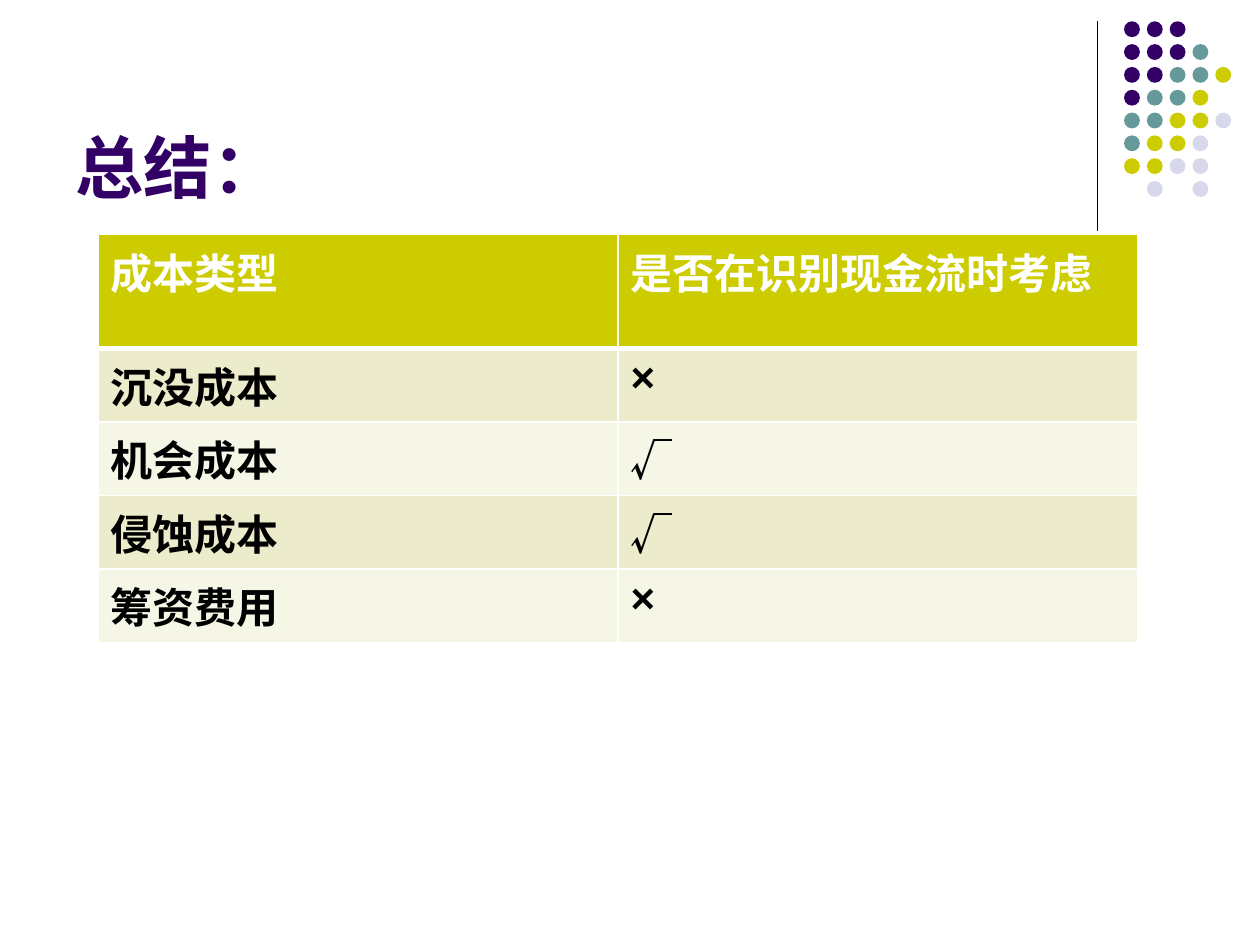
"""Build the summary slide: which cost types count when identifying cash flows."""
import pptx
import pptx.dml.color
import pptx.enum.shapes
import pptx.enum.text
import pptx.oxml
import pptx.oxml.ns
import pptx.util

Cm = pptx.util.Cm
Pt = pptx.util.Pt
RGBColor = pptx.dml.color.RGBColor

PURPLE = RGBColor(0x33, 0x00, 0x66)
TEAL = RGBColor(0x66, 0x99, 0x99)
OLIVE = RGBColor(0xCC, 0xCC, 0x00)
LILAC = RGBColor(0xD8, 0xD8, 0xEC)
BAND_DARK = RGBColor(0xEC, 0xEC, 0xCC)
BAND_LIGHT = RGBColor(0xF6, 0xF6, 0xE7)
WHITE = RGBColor(0xFF, 0xFF, 0xFF)
BLACK = RGBColor(0x00, 0x00, 0x00)

TITLE = "总结："
ROWS = [
    ("成本类型", "是否在识别现金流时考虑"),
    ("沉没成本", "×"),
    ("机会成本", "√"),
    ("侵蚀成本", "√"),
    ("筹资费用", "×"),
]
DOT_ROWS = ["PPP", "PPPT", "PPTTO", "PTTO", "TTOOL", "TOOL", "OOLL", " L L"]
DOT_COLORS = {"P": PURPLE, "T": TEAL, "O": OLIVE, "L": LILAC}
DOT_LEFT, DOT_TOP, DOT_SIZE, DOT_PITCH = 22.66, 0.43, 0.32, 0.46


def format_text(p, size, color, name="Arial"):
    p.font.name = name
    p.font.size = Pt(size)
    p.font.bold = True
    p.font.color.rgb = color


def add_title(s):
    sp = s.shapes.title
    sp.left, sp.top, sp.width, sp.height = Cm(1.27), Cm(0.91), Cm(20.96), Cm(3.4)
    tf = sp.text_frame
    tf.text = TITLE
    tf.vertical_anchor = pptx.enum.text.MSO_ANCHOR.BOTTOM
    tf.auto_size = pptx.enum.text.MSO_AUTO_SIZE.NONE
    p = tf.paragraphs[0]
    p.alignment = pptx.enum.text.PP_ALIGN.LEFT
    format_text(p, 39, PURPLE)


def add_rule(s):
    line = s.shapes.add_connector(
        pptx.enum.shapes.MSO_CONNECTOR.STRAIGHT, Cm(22.12), Cm(0.43), Cm(22.12), Cm(4.65))
    line.line.color.rgb = BLACK
    line.line.width = Pt(0.75)
    pptx.oxml.ns.qn("a:effectLst")
    line._element.spPr.append(
        line._element.spPr.makeelement(pptx.oxml.ns.qn("a:effectLst"), {}))


def add_dots(s):
    group = s.shapes.add_group_shape()
    for row, codes in enumerate(DOT_ROWS):
        for col, code in enumerate(codes):
            if code not in DOT_COLORS:
                continue
            dot = group.shapes.add_shape(
                pptx.enum.shapes.MSO_SHAPE.OVAL,
                Cm(DOT_LEFT + col * DOT_PITCH), Cm(DOT_TOP + row * DOT_PITCH),
                Cm(DOT_SIZE), Cm(DOT_SIZE))
            dot.shadow.inherit = False
            dot.fill.solid()
            dot.fill.fore_color.rgb = DOT_COLORS[code]
            dot.line.fill.background()


def set_borders(cell, top, bottom):
    tcPr = cell._tc.get_or_add_tcPr()
    widths = {"lnL": 1, "lnR": 1, "lnT": top, "lnB": bottom}
    for i, (tag, width) in enumerate(widths.items()):
        tcPr.insert(i, pptx.oxml.parse_xml(
            f'<a:{tag} {pptx.oxml.ns.nsdecls("a")} w="{Pt(width)}">'
            f'<a:solidFill><a:srgbClr val="{WHITE}"/></a:solidFill></a:{tag}>'))


def add_cost_table(s):
    table = s.shapes.add_table(
        len(ROWS), 2, Cm(1.98), Cm(4.73), Cm(20.96), Cm(7.37)).table
    for col in table.columns:
        col.width = Cm(10.48)
    for i, texts in enumerate(ROWS):
        table.rows[i].height = Cm(1.27 if i else 2.29)
        fill = (BAND_DARK if i % 2 else BAND_LIGHT) if i else OLIVE
        for j, text in enumerate(texts):
            cell = table.cell(i, j)
            cell.text = text
            format_text(cell.text_frame.paragraphs[0], 24, BLACK if i else WHITE,
                        "Noto Sans CJK SC" if text == "√" else "Arial")
            cell.fill.solid()
            cell.fill.fore_color.rgb = fill
            set_borders(cell, 3 if i == 1 else 1, 1 if i else 3)


def main():
    prs = pptx.Presentation()
    prs.slide_width, prs.slide_height = Cm(25.4), Cm(19.05)
    s = prs.slides.add_slide(prs.slide_layouts[5])
    add_rule(s)
    add_dots(s)
    add_title(s)
    add_cost_table(s)
    prs.save("out.pptx")


if __name__ == "__main__":
    main()
